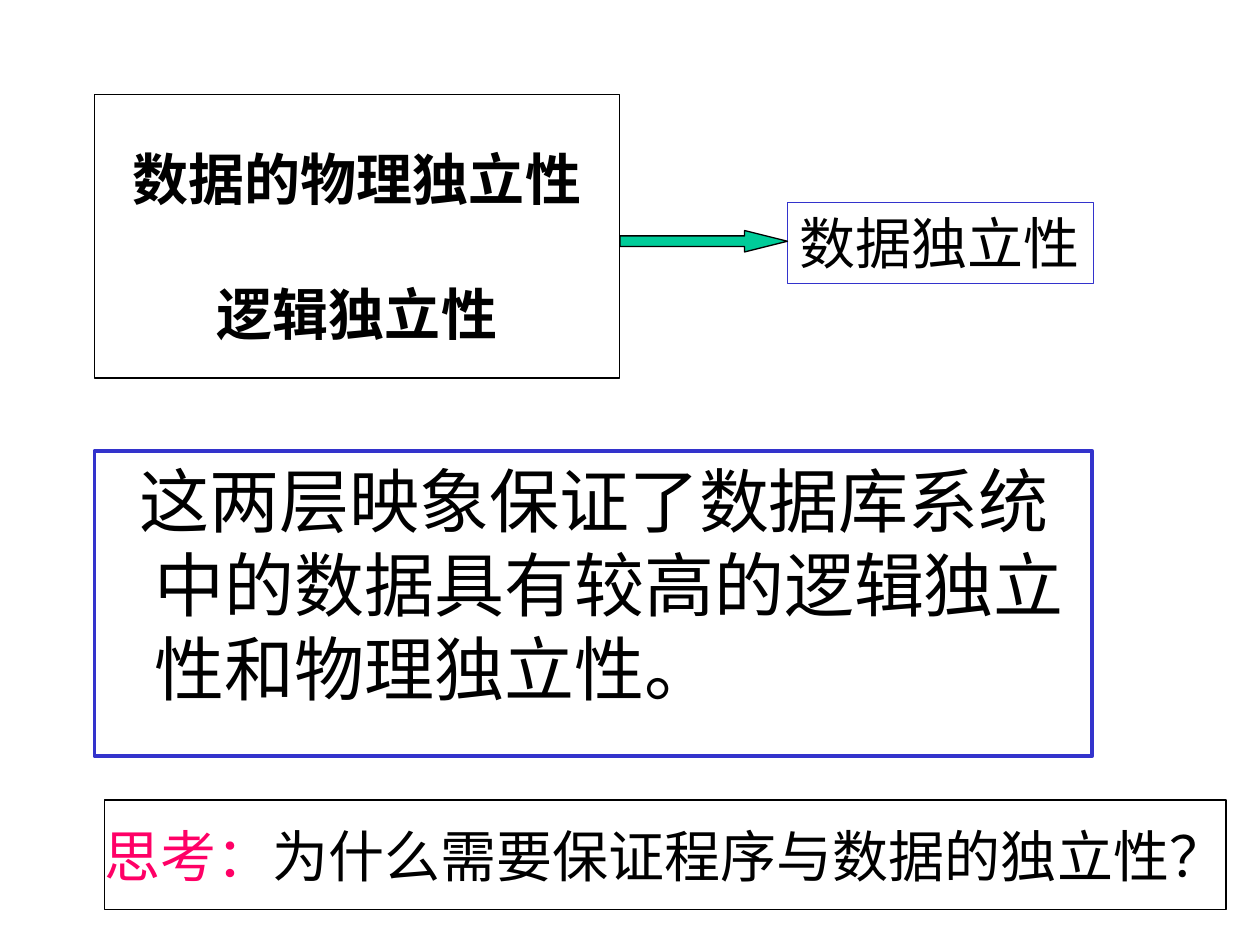
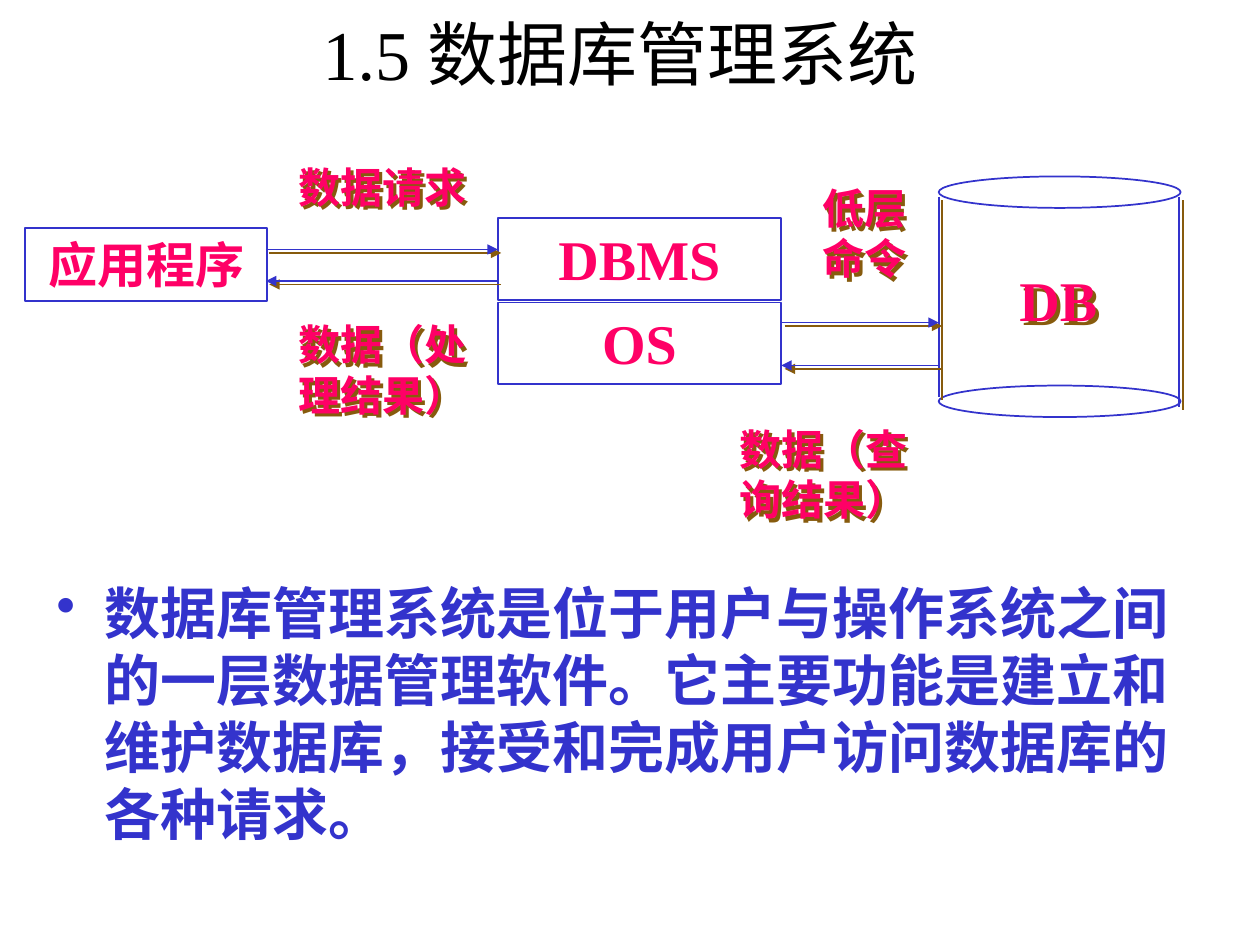
from dataclasses import dataclass
from typing import Optional

from lxml.etree import SubElement
from pptx import Presentation
from pptx.dml.color import RGBColor
from pptx.enum.shapes import MSO_CONNECTOR as Connector, MSO_SHAPE as Preset
from pptx.enum.text import MSO_ANCHOR as Anchor, PP_ALIGN as Align
from pptx.oxml.ns import qn
from pptx.util import Inches, Pt

COLOURS = {
    "paper": "FFFFFF",
    "ink": "000000",
    "blue": "3333CC",
    "pink": "FF0066",
    "green": "00CC99",
    "shade": "875B0D",
}
SERIF = "Times New Roman"
SANS = "Noto Sans CJK SC"
LINE_PITCH = 1.2


@dataclass(frozen=True)
class Area:
    left: float
    top: float
    width: float
    height: float

    def lengths(self) -> list:
        return [Inches(v) for v in (self.left, self.top, self.width, self.height)]


@dataclass(frozen=True)
class Node:
    text: str
    area: Area
    size: int = 32


@dataclass(frozen=True)
class Link:
    start: tuple[float, float]
    end: tuple[float, float]
    arrow: bool = True


def rgb(name: str) -> RGBColor:
    return RGBColor.from_string(COLOURS[name])


def set_effects(shape, shaded: bool) -> None:
    properties = shape._element.spPr
    for old in properties.findall(qn("a:effectLst")):
        properties.remove(old)
    effects = SubElement(properties, qn("a:effectLst"))
    if shaded:
        shadow = SubElement(effects, qn("a:outerShdw"), dist=str(Pt(2.8)),
                            dir="2700000", algn="ctr", rotWithShape="0")
        SubElement(shadow, qn("a:srgbClr"), val=COLOURS["shade"])


def add_outline(slide, area: Area, preset=Preset.RECTANGLE, fill: Optional[str] = None,
                line: str = "blue", weight: float = 1):
    shape = slide.shapes.add_shape(preset, *area.lengths())
    shape.shadow.inherit = False
    if fill:
        shape.fill.solid()
        shape.fill.fore_color.rgb = rgb(fill)
    else:
        shape.fill.background()
    shape.line.color.rgb = rgb(line)
    shape.line.width = Pt(weight)
    return shape


def write(shape, *paragraphs, size: int = 32, font: str = SERIF, colour: str = "ink",
          bold: bool = False, align=Align.CENTER, anchor=Anchor.TOP, wrap: bool = True,
          top_inset: float = 0.05, margin: float = 0, indent: float = 0,
          bullet: str = "", gap: float = 0) -> None:
    frame = shape.text_frame
    frame.word_wrap = wrap
    frame.vertical_anchor = anchor
    frame.margin_left = frame.margin_right = Inches(0.1)
    frame.margin_top, frame.margin_bottom = Inches(top_inset), Inches(0.05)
    for index, content in enumerate(paragraphs):
        paragraph = frame.add_paragraph() if index else frame.paragraphs[0]
        properties = paragraph._p.get_or_add_pPr()
        properties.set("marL", str(Inches(margin)))
        properties.set("indent", str(Inches(indent)))
        if bullet:
            SubElement(properties, qn("a:buChar"), char=bullet)
        else:
            SubElement(properties, qn("a:buNone"))
        paragraph.alignment = align
        paragraph.line_spacing = Pt(size * LINE_PITCH)
        if index and gap:
            paragraph.space_before = Pt(gap)
        pieces = [(content, colour)] if isinstance(content, str) else content
        for words, tint in pieces:
            run = paragraph.add_run()
            run.text = words
            run.font.size = Pt(size)
            run.font.bold = bold
            run.font.color.rgb = rgb(tint)
            run.font.name = font
            SubElement(run._r.get_or_add_rPr(), qn("a:ea"), typeface=SANS)


def add_words(slide, area: Area, *paragraphs, shaded: bool = False, **style) -> None:
    box = slide.shapes.add_textbox(*area.lengths())
    if shaded:
        set_effects(box, True)
    write(box, *paragraphs, **style)


def add_link(slide, link: Link) -> None:
    ends = [Inches(v) for v in (*link.start, *link.end)]
    line = slide.shapes.add_connector(Connector.STRAIGHT, *ends)
    line.line.color.rgb = rgb("blue")
    line.line.width = Pt(1)
    if link.arrow:
        SubElement(line.line._get_or_add_ln(), qn("a:tailEnd"), type="triangle")
    set_effects(line, True)


def build_independence(slide) -> None:
    mapping = add_outline(slide, Area(0.75, 3.58, 7.92, 2.42), fill="paper", weight=2.25)
    write(mapping, "这两层映象保证了数据库系统中的数据具有较高的逻辑独立性和物理独立性。",
          size=40, font=SANS, align=Align.LEFT, margin=0.38, indent=-0.12)

    kinds = add_outline(slide, Area(0.75, 0.75, 4.17, 2.25), fill="paper",
                        line="ink", weight=0.75)
    write(kinds, "数据的物理独立性", "逻辑独立性", bold=True, anchor=Anchor.MIDDLE,
          wrap=False, top_inset=0.2, gap=32 * LINE_PITCH)

    independence = add_outline(slide, Area(6.25, 1.61, 2.43, 0.64), fill="paper", weight=0.75)
    write(independence, "数据独立性", align=Align.LEFT, wrap=False)

    leads_to = add_outline(slide, Area(4.92, 1.83, 1.33, 0.17), Preset.RIGHT_ARROW,
                           fill="green", line="ink", weight=0.75)
    leads_to.adjustments[0] = 0.5
    leads_to.adjustments[1] = 2

    question = add_outline(slide, Area(0.83, 6.35, 8.9, 0.87), fill="paper",
                           line="ink", weight=0.75)
    write(question, [("思考：", "pink"), ("为什么需要保证程序与数据的独立性？", "ink")],
          anchor=Anchor.MIDDLE, wrap=False)


def build_dbms(slide) -> None:
    add_words(slide, Area(0.67, 0, 8.5, 0.84), "1.5 数据库管理系统",
              size=40, anchor=Anchor.MIDDLE)
    add_words(slide, Area(0.35, 4.54, 9.13, 2.36),
              "数据库管理系统是位于用户与操作系统之间的一层数据管理软件。"
              "它主要功能是建立和维护数据库，接受和完成用户访问数据库的各种请求。",
              font=SANS, colour="blue", bold=True, align=Align.LEFT,
              margin=0.38, indent=-0.38, bullet="•")

    app_right, system_left, system_right = 2.11, 3.95, 6.2
    db_left, db_width = 7.45, 1.92
    system_width = system_right - system_left
    layers = [
        Node("应用程序", Area(0.2, 1.81, 1.92, 0.58), 28),
        Node("DBMS", Area(system_left, 1.73, system_width, 0.65)),
        Node("OS", Area(system_left, 2.4, system_width, 0.65)),
    ]
    for layer in layers:
        write(add_outline(slide, layer.area), layer.text, size=layer.size,
              colour="pink", bold=True)

    for rim_top in (1.4, 3.06):
        add_outline(slide, Area(db_left, rim_top, db_width, 0.25), Preset.OVAL)

    db_right = db_left + db_width - 0.01
    links = [
        Link((db_left, 1.56), (db_left, 3.15), arrow=False),
        Link((db_right, 1.56), (db_right, 3.23), arrow=False),
        Link((app_right, 1.98), (system_left, 1.98)),
        Link((system_left, 2.23), (app_right, 2.23)),
        Link((system_right, 2.56), (db_left, 2.56)),
        Link((db_left, 2.9), (system_right, 2.9)),
    ]
    for link in links:
        add_link(slide, link)

    labels = [
        Node("DB", Area(7.61, 2.06, 1.58, 0.63)),
        Node("数据请求", Area(2.2, 1.23, 1.67, 0.5), 24),
        Node("数据（处理结果）", Area(2.2, 2.48, 1.67, 0.9), 24),
        Node("低层命令", Area(6.36, 1.4, 1, 0.9), 24),
        Node("数据（查询结果）", Area(5.7, 3.31, 1.67, 0.9), 24),
    ]
    for label in labels:
        add_words(slide, label.area, label.text, shaded=True, size=label.size,
                  colour="pink", bold=True)


def main() -> None:
    deck = Presentation()
    deck.slide_width, deck.slide_height = Inches(10), Inches(7.5)
    for build in (build_independence, build_dbms):
        build(deck.slides.add_slide(deck.slide_layouts[6]))
    deck.save("out.pptx")


if __name__ == "__main__":
    main()
